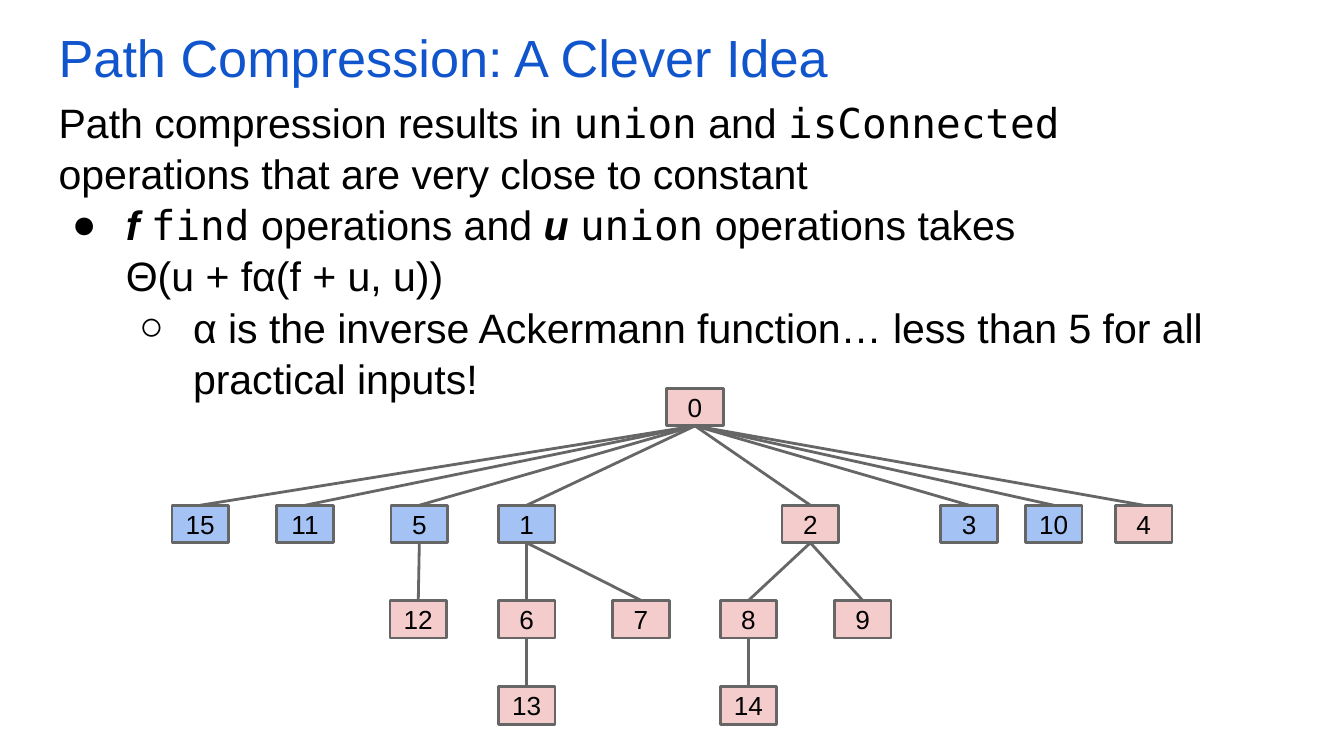
from lxml.etree import SubElement
from pptx import Presentation
from pptx.dml.color import RGBColor
from pptx.enum.shapes import MSO_CONNECTOR, MSO_SHAPE
from pptx.enum.text import MSO_ANCHOR, PP_ALIGN
from pptx.oxml.ns import qn
from pptx.util import Cm, Pt

COLORS = {
    "title": "1155CC",
    "text": "000000",
    "outline": "666666",
    "blue": "A4C2F4",
    "pink": "F4CCCC",
}
SANS, MONO = "Arial", "DejaVu Sans Mono"
BOTTOM, TOP = 2, 0
NODE_WIDTH, NODE_HEIGHT = 1.07, 0.71
LEVEL_TOPS = [7.34, 9.55, 11.35, 12.98]

# Tree nodes: value -> (left in cm, level, parent)
TREE = {
    0: (12.6, 0, None),
    15: (3.25, 1, 0),
    11: (5.23, 1, 0),
    5: (7.39, 1, 0),
    1: (9.42, 1, 0),
    2: (14.78, 1, 0),
    3: (17.78, 1, 0),
    10: (19.38, 1, 0),
    4: (21.08, 1, 0),
    12: (7.37, 2, 5),
    6: (9.42, 2, 1),
    7: (11.58, 2, 1),
    8: (13.61, 2, 2),
    9: (15.77, 2, 2),
    13: (9.42, 3, 6),
    14: (13.61, 3, 8),
}
BLUE_NODES = {15, 11, 5, 1, 3, 10}

# Paragraphs: (bullet, left margin in cm, [(text, style)])
STATEMENT = [
    (None, 0, [
        ("Path compression results in ", "plain"),
        ("union", "code"),
        (" and ", "plain"),
        ("isConnected", "code"),
        (" operations that are very close to constant", "plain"),
    ]),
    ("●", 1.27, [
        ("f ", "variable"),
        ("find", "code"),
        (" operations and ", "plain"),
        ("u ", "variable"),
        ("union", "code"),
        (" operations takes", "plain"),
        ("\n", "break"),
        ("Θ(u + fα(f + u, u))", "plain"),
    ]),
    ("○", 2.54, [
        ("α is the inverse Ackermann function… less than 5 for all practical inputs!", "plain"),
    ]),
]


def rgb(name):
    return RGBColor.from_string(COLORS[name])


def style_font(font, size, color="text", name=SANS):
    font.size = Pt(size)
    font.name = name
    font.color.rgb = rgb(color)


def add_text_frame(slide, left, top, width, height):
    frame = slide.shapes.add_textbox(Cm(left), Cm(top), Cm(width), Cm(height)).text_frame
    frame.word_wrap = True
    frame.margin_left = frame.margin_right = Cm(0.25)
    frame.margin_top = frame.margin_bottom = Cm(0.25)
    return frame


def set_bullet(paragraph, bullet, margin):
    properties = paragraph._p.get_or_add_pPr()
    properties.set("marL", str(Cm(margin)))
    properties.set("indent", str(-Cm(1.02)))
    bullet_color = SubElement(properties, qn("a:buClr"))
    SubElement(bullet_color, qn("a:srgbClr"), val=COLORS["text"])
    SubElement(properties, qn("a:buFont"), typeface=SANS)
    SubElement(properties, qn("a:buChar"), char=bullet)


def add_title(slide, title):
    frame = add_text_frame(slide, 0.86, 0.18, 23.67, 1.6)
    frame.text = title
    frame.paragraphs[0].line_spacing = 1.04
    style_font(frame.paragraphs[0].runs[0].font, 28, "title")


def add_statement(slide, content):
    frame = add_text_frame(slide, 0.86, 1.55, 23.16, 3.4)
    for index, (bullet, margin, pieces) in enumerate(content):
        paragraph = frame.add_paragraph() if index else frame.paragraphs[0]
        paragraph.line_spacing = 1.04
        if bullet:
            paragraph.level = index - 1
            set_bullet(paragraph, bullet, margin)
        for text, style in pieces:
            if style == "break":
                paragraph.add_line_break()
                continue
            run = paragraph.add_run()
            run.text = text
            style_font(run.font, 22, name=MONO if style == "code" else SANS)
            if style == "variable":
                run.font.bold = run.font.italic = True


def add_node(slide, value, left, level):
    node = slide.shapes.add_shape(
        MSO_SHAPE.RECTANGLE, Cm(left), Cm(LEVEL_TOPS[level]), Cm(NODE_WIDTH), Cm(NODE_HEIGHT)
    )
    node.shadow.inherit = False
    node.fill.solid()
    node.fill.fore_color.rgb = rgb("blue" if value in BLUE_NODES else "pink")
    node.line.color.rgb = rgb("outline")
    node.line.width = Pt(1.5)
    frame = node.text_frame
    frame.margin_left = frame.margin_right = frame.margin_top = frame.margin_bottom = 0
    frame.vertical_anchor = MSO_ANCHOR.MIDDLE
    frame.text = str(value)
    label = frame.paragraphs[0]
    label.alignment = PP_ALIGN.CENTER
    style_font(label.runs[0].font, 14)
    return node


def add_edge(slide, child, parent):
    edge = slide.shapes.add_connector(MSO_CONNECTOR.STRAIGHT, 0, 0, 0, 0)
    edge.begin_connect(child, TOP)
    edge.end_connect(parent, BOTTOM)
    edge.line.color.rgb = rgb("outline")
    edge.line.width = Pt(1.5)
    SubElement(edge._element.spPr, qn("a:effectLst"))


def add_tree(slide):
    nodes = {value: add_node(slide, value, left, level)
             for value, (left, level, _) in TREE.items()}
    for value, (_, _, parent) in TREE.items():
        if parent is not None:
            add_edge(slide, nodes[value], nodes[parent])


def main():
    presentation = Presentation()
    presentation.slide_width, presentation.slide_height = Cm(25.4), Cm(14.29)
    slide = presentation.slides.add_slide(presentation.slide_layouts[6])

    # Heading and running-time statement
    add_title(slide, "Path Compression: A Clever Idea")
    add_statement(slide, STATEMENT)

    # Compressed tree
    add_tree(slide)

    presentation.save("out.pptx")


if __name__ == "__main__":
    main()
